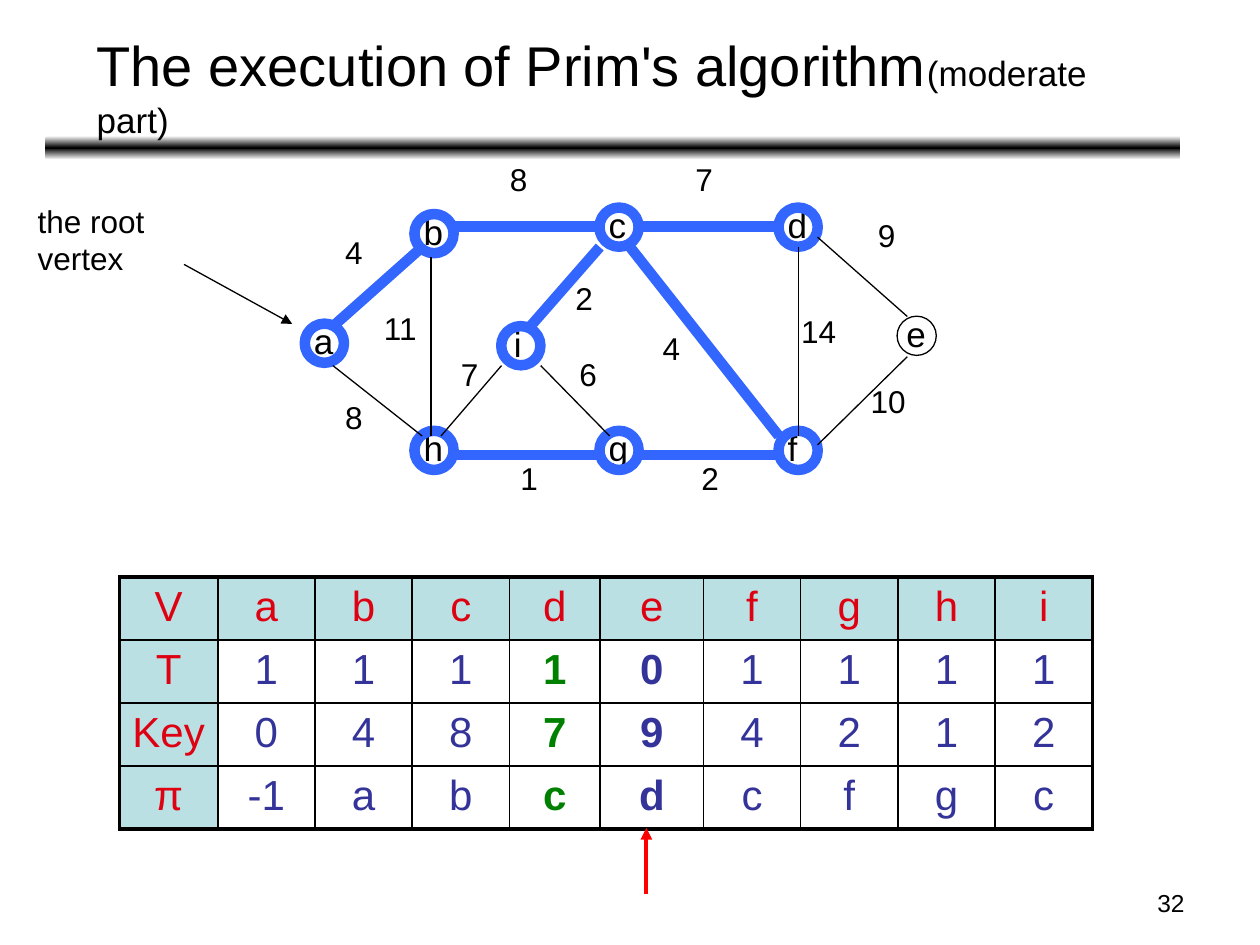
from lxml import etree
from pptx import Presentation
from pptx.dml.color import RGBColor
from pptx.enum.shapes import MSO_CONNECTOR, MSO_SHAPE
from pptx.enum.text import PP_ALIGN
from pptx.oxml.ns import qn
from pptx.util import Cm, Pt

STRAIGHT = MSO_CONNECTOR.STRAIGHT
OVAL, ROUNDED = MSO_SHAPE.OVAL, MSO_SHAPE.ROUNDED_RECTANGLE
LEFT, CENTER, RIGHT = PP_ALIGN.LEFT, PP_ALIGN.CENTER, PP_ALIGN.RIGHT

BLACK, WHITE, BLUE, RED = "000000", "FFFFFF", "3366FF", "FF0000"
HEADER_FILL, HEADER_TEXT, VALUE_TEXT, GREEN = "BBE0E3", "DD0111", "333399", "008000"
THIN, THICK = 0.75, 6
DIAMETER = 0.79


def color(hex_string):
    return RGBColor.from_string(hex_string)


def add_xml(parent, tag, **attributes):
    return etree.SubElement(parent, qn(tag), **attributes)


class SlideBuilder:
    font = "Arial"

    def __init__(self, slide):
        self.slide = slide

    def style(self, paragraph, size, ink=BLACK, align=LEFT, bold=False):
        paragraph.alignment = align
        paragraph.font.name = self.font
        paragraph.font.size = Pt(size)
        paragraph.font.bold = bold
        paragraph.font.color.rgb = color(ink)

    def text(self, words, left, top, width, height, size, align=LEFT):
        box = self.slide.shapes.add_textbox(Cm(left), Cm(top), Cm(width), Cm(height))
        box.text_frame.word_wrap = True
        paragraph = box.text_frame.paragraphs[0]
        paragraph.add_run().text = words
        self.style(paragraph, size, align=align)
        return paragraph

    def line(self, start, end, ink=BLACK, width=THIN, arrow=False):
        x1, y1, x2, y2 = map(Cm, (*start, *end))
        connector = self.slide.shapes.add_connector(STRAIGHT, x1, y1, x2, y2)
        connector.line.color.rgb = color(ink)
        connector.line.width = Pt(width)
        if arrow:
            add_xml(connector.line._get_or_add_ln(), "a:tailEnd", type="triangle")
        add_xml(connector._element.spPr, "a:effectLst")

    def node(self, letter, x, y, in_tree):
        self.text(letter, x - (0.39 if letter == "i" else 0.46), y - 0.6, 0.91, 1.09, 20)
        ring = self.slide.shapes.add_shape(
            OVAL, Cm(x - DIAMETER / 2), Cm(y - DIAMETER / 2), Cm(DIAMETER), Cm(DIAMETER))
        ring.shadow.inherit = False
        ring.fill.background()
        ring.line.color.rgb = color(BLUE if in_tree else BLACK)
        ring.line.width = Pt(THICK if in_tree else THIN)

    def gradient_bar(self, left, top, width, height, stops):
        bar = self.slide.shapes.add_shape(ROUNDED, Cm(left), Cm(top), Cm(width), Cm(height))
        bar.shadow.inherit = False
        bar.line.fill.background()
        bar.fill.gradient()
        bar.fill.gradient_angle = 90
        stop_list = bar._element.spPr.find(".//" + qn("a:gsLst"))
        stop_list.clear()
        for percent, shade in stops:
            stop = add_xml(stop_list, "a:gs", pos=str(percent * 1000))
            add_xml(stop, "a:srgbClr", val=shade)

    def cell_borders(self, cell, widths):
        properties = cell._tc.get_or_add_tcPr()
        for side, width in widths.items():
            border = add_xml(properties, f"a:ln{side}", w=str(Pt(width)))
            add_xml(add_xml(border, "a:solidFill"), "a:srgbClr", val=BLACK)

    def table(self, rows, left, top, column_widths, row_height, column_ink, bold_columns):
        last_row, last_column = len(rows) - 1, len(column_widths) - 1
        grid = self.slide.shapes.add_table(
            len(rows), len(column_widths), Cm(left), Cm(top),
            Cm(sum(column_widths)), Cm(row_height * len(rows))).table
        grid.first_row = grid.horz_banding = False
        for column, width in zip(grid.columns, column_widths):
            column.width = Cm(width)
        for r, row in enumerate(rows):
            grid.rows[r].height = Cm(row_height)
            for c, value in enumerate(row):
                cell = grid.cell(r, c)
                cell.text = value
                on_edge = {"L": c == 0, "R": c == last_column, "T": r == 0, "B": r == last_row}
                self.cell_borders(cell, {s: 2.25 if e else 1 for s, e in on_edge.items()})
                header = r == 0 or c == 0
                if header:
                    cell.fill.solid()
                    cell.fill.fore_color.rgb = color(HEADER_FILL)
                else:
                    cell.fill.background()
                ink = HEADER_TEXT if header else column_ink.get(c, VALUE_TEXT)
                bold = not header and c in bold_columns
                self.style(cell.text_frame.paragraphs[0], 24, ink, CENTER, bold)


# Vertex: centre x, centre y
VERTICES = {
    "a": (6.54, 6.92), "b": (8.75, 4.71), "h": (8.75, 9.08),
    "c": (12.48, 4.58), "d": (16.09, 4.58), "e": (18.48, 6.77),
    "f": (16.09, 9.08), "g": (12.48, 9.08), "i": (10.5, 6.97),
}
# Edge: start, end, in the tree, weight, weight position
EDGES = [
    ((6.71, 6.58), (8.51, 4.98), True, "4", (6.71, 4.57)),
    ((6.71, 7.37), (8.51, 8.79), False, "8", (6.71, 7.9)),
    ((8.69, 5.18), (8.69, 8.79), False, "11", (7.49, 6.1)),
    ((9.09, 4.57), (12.09, 4.57), True, "8", (10.03, 3.1)),
    ((9.09, 9.17), (12.09, 9.17), True, "1", (10.24, 9.12)),
    ((12.9, 9.17), (15.7, 9.17), True, "2", (13.89, 9.12)),
    ((12.7, 4.98), (15.7, 8.79), True, "4", (13.11, 6.5)),
    ((12.9, 4.57), (15.7, 4.57), True, "7", (13.77, 3.1)),
    ((16.1, 4.98), (16.1, 8.79), False, "14", (15.9, 6.17)),
    ((16.48, 4.78), (18.29, 6.38), False, "9", (17.45, 4.24)),
    ((16.48, 8.97), (18.29, 7.19), False, "10", (17.3, 7.57)),
    ((10.9, 7.37), (12.29, 8.79), False, "6", (11.43, 7.04)),
    ((8.89, 8.79), (10.11, 7.37), False, "7", (9.04, 7.04)),
    ((10.69, 6.58), (12.09, 4.98), True, "2", (11.35, 5.51)),
]
STATE = [
    ["V", "a", "b", "c", "d", "e", "f", "g", "h", "i"],
    ["T", "1", "1", "1", "1", "0", "1", "1", "1", "1"],
    ["Key", "0", "4", "8", "7", "9", "4", "2", "1", "2"],
    ["π", "-1", "a", "b", "c", "d", "c", "f", "g", "c"],
]


def main():
    deck = Presentation()
    deck.slide_width, deck.slide_height = Cm(25.4), Cm(19.05)
    page = SlideBuilder(deck.slides.add_slide(deck.slide_layouts[6]))

    # Heading and page number
    page.gradient_bar(0.91, 2.74, 22.89, 0.48, [(0, WHITE), (50, BLACK), (100, WHITE)])
    page.text("32", 18.21, 17.78, 5.92, 0.89, 14, RIGHT)
    title = page.text("The execution of Prim's algorithm", 1.7, 0.5, 21.79, 1.6, 32)
    remark = title.add_run()
    remark.text = "(moderate part)"
    remark.font.size = Pt(20)

    # Root vertex note
    page.text("the root vertex", 0.51, 3.94, 3.4, 2.29, 18)
    page.line((3.71, 5.33), (5.89, 6.53), arrow=True)

    # Algorithm state, with the current column marked
    widths = [1.98] + [1.96] * 3 + [1.83, 2.08] + [1.96] * 4
    page.table(STATE, 2.41, 11.63, widths, 1.27, {4: GREEN}, {4, 5})

    # Graph
    for letter, (x, y) in VERTICES.items():
        page.node(letter, x, y, in_tree=letter != "e")
    for start, end, in_tree, _, _ in EDGES:
        page.line(start, end, *((BLUE, THICK) if in_tree else (BLACK, THIN)))
    for _, _, _, weight, (left, top) in EDGES:
        page.text(weight, left, top, 0.5 + 0.38 * len(weight), 1.02, 18)

    # Current column pointer
    page.line((13.03, 18.03), (13.03, 16.69), RED, 2.25, arrow=True)

    deck.save("out.pptx")


if __name__ == "__main__":
    main()
